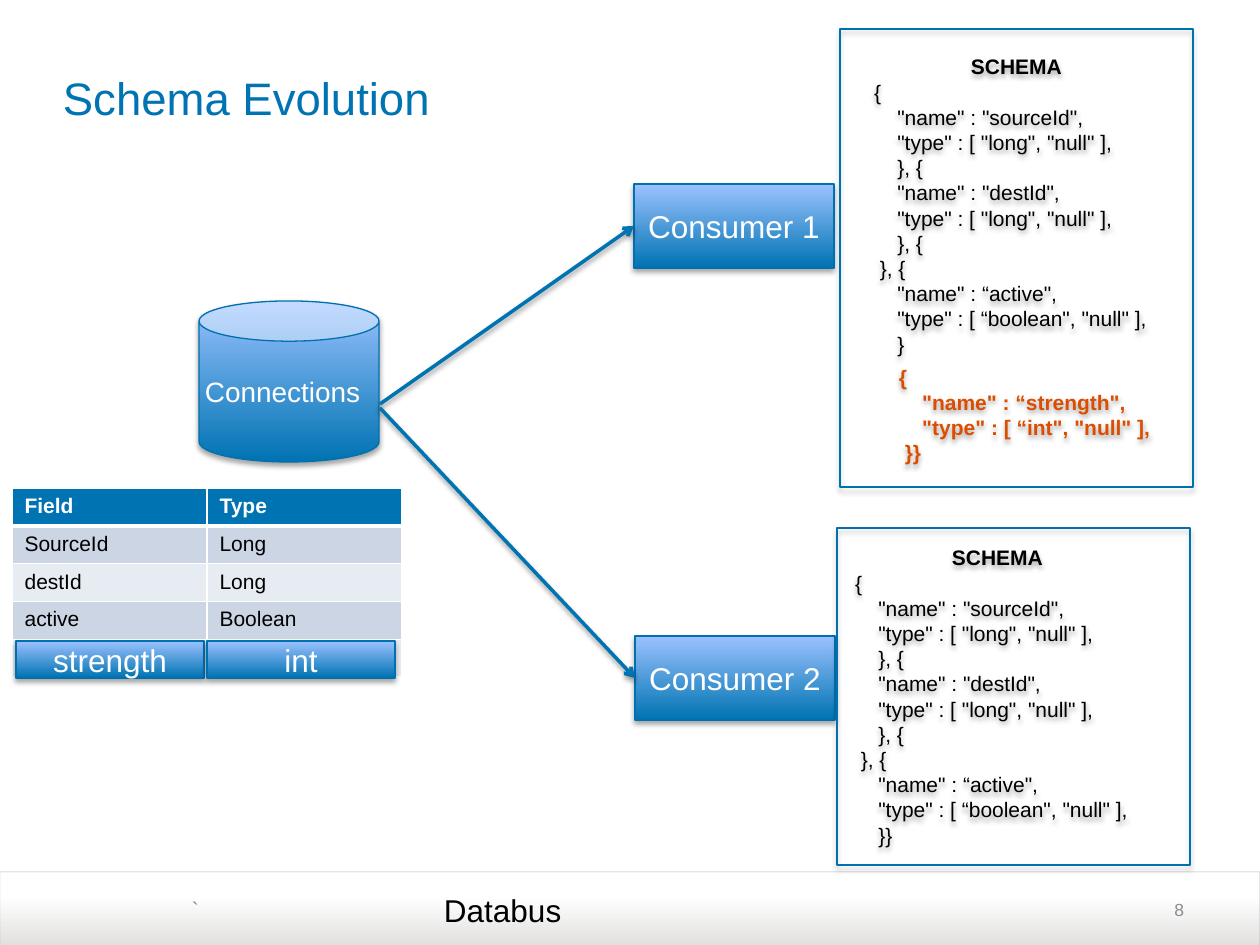
import lxml.etree
import pptx
import pptx.dml.color
import pptx.enum.shapes
import pptx.enum.text
import pptx.oxml.ns
import pptx.util

PX = 914400 / 126
COLORS = {
    "blue": "0073B2", "sky": "9BC2FF", "outline": "0070AE", "white": "FFFFFF",
    "black": "000000", "orange": "DB4E01", "band_dark": "CCD5E4",
    "band_light": "E7EBF2", "footer": "E1E0DF", "footer_line": "A6A6A6",
    "mark": "88898B", "number": "8C8C8C",
}
SHAPE = pptx.enum.shapes.MSO_SHAPE
ALIGN = pptx.enum.text.PP_ALIGN
ANCHOR = pptx.enum.text.MSO_ANCHOR
INSETS = (13, 6, 13, 6)

FIELDS = [("Field", "Type"), ("SourceId", "Long"), ("destId", "Long"),
          ("active", "Boolean"), ("", "")]
SCHEMA = [
    "{",
    '    "name" : "sourceId",',
    '    "type" : [ "long", "null" ],',
    "    }, {",
    '    "name" : "destId",',
    '    "type" : [ "long", "null" ],',
    "    }, {",
    " }, {",
    '    "name" : “active",',
    '    "type" : [ “boolean", "null" ],',
]
STRENGTH = ["{", '    "name" : “strength",', '    "type" : [ “int", "null" ],', " }}"]


def px(*lengths):
    return [pptx.util.Emu(round(length * PX)) for length in lengths]


def rgb(name):
    return pptx.dml.color.RGBColor.from_string(COLORS[name])


def child(parent, tag, **attributes):
    return lxml.etree.SubElement(parent, pptx.oxml.ns.qn(tag), **attributes)


def add_run(paragraph, text, size, color, bold=False):
    run = paragraph.add_run()
    run.text = text
    run.font.name = "Arial"
    run.font.size = pptx.util.Pt(size)
    run.font.bold = bold
    run.font.color.rgb = rgb(color)


def write_lines(frame, lines, size, color, bold=False, align=ALIGN.LEFT,
                anchor=ANCHOR.MIDDLE, insets=INSETS):
    frame.word_wrap = True
    frame.vertical_anchor = anchor
    (frame.margin_left, frame.margin_top,
     frame.margin_right, frame.margin_bottom) = px(*insets)
    for index, line in enumerate(lines):
        paragraph = frame.add_paragraph() if index else frame.paragraphs[0]
        paragraph.alignment = align
        add_run(paragraph, line, size, color, bold)


def add_text(slide, box, lines, size, color, **layout):
    text = slide.shapes.add_textbox(*px(*box))
    write_lines(text.text_frame, lines, size, color, **layout)
    return text


def drop_shadow(properties, alpha=35):
    """Put a soft downward shadow into the effect list of a shape's properties."""
    effects = properties.find(pptx.oxml.ns.qn("a:effectLst"))
    if effects is None:
        effects = child(properties, "a:effectLst")
    shadow = child(effects, "a:outerShdw", blurRad="39370", dist="22860",
                   dir="5400000", rotWithShape="0")
    black = child(shadow, "a:srgbClr", val=COLORS["black"])
    child(black, "a:alpha", val=str(alpha * 1000))


def fill_upward(shape, bottom, top, top_position=1.0):
    shape.fill.gradient()
    shape.fill.gradient_angle = 90
    stops = shape.fill.gradient_stops
    for stop, color, position in zip(stops, (bottom, top), (0, top_position)):
        stop.color.rgb = rgb(color)
        stop.position = position


def add_block(slide, box, label, size=18, preset=SHAPE.RECTANGLE, insets=INSETS):
    block = slide.shapes.add_shape(preset, *px(*box))
    fill_upward(block, "blue", "sky")
    block.line.color.rgb = rgb("outline")
    block.line.width = pptx.util.Pt(0.75)
    block.shadow.inherit = False
    drop_shadow(block._element.spPr)
    write_lines(block.text_frame, [label], size, "white", align=ALIGN.CENTER,
                insets=insets)
    return block


def add_arrow(slide, start, consumer):
    arrow = slide.shapes.add_connector(
        pptx.enum.shapes.MSO_CONNECTOR.STRAIGHT, *px(*start, *start))
    arrow.end_connect(consumer, 1)
    arrow.line.color.rgb = rgb("blue")
    arrow.line.width = pptx.util.Pt(2)
    child(arrow.line._get_or_add_ln(), "a:tailEnd", type="arrow")
    drop_shadow(arrow._element.spPr, 38)


def add_footer(slide, box):
    left, top, width, height = box
    band = slide.shapes.add_shape(SHAPE.ROUND_2_SAME_RECTANGLE, *px(*box))
    band.adjustments[0] = 0
    fill_upward(band, "footer", "white", 0.68)
    band.line.color.rgb = rgb("footer_line")
    band.line.width = pptx.util.Pt(0.25)
    line_color = band.line._get_or_add_ln().find(".//" + pptx.oxml.ns.qn("a:srgbClr"))
    child(line_color, "a:alpha", val="79000")
    band.shadow.inherit = False
    add_text(slide, (left + 192, top + 19, 391, 43), ["`"], 12, "mark",
             anchor=ANCHOR.TOP, insets=(0, 6, 13, 6))
    add_text(slide, (left + 431, top + 13, 399, 50), ["Databus"], 18, "black",
             anchor=ANCHOR.TOP)
    add_text(slide, (left + 903, top + 13, 294, 50), ["8"], 10, "number",
             align=ALIGN.RIGHT)


def style_cell(cell, fill, top_width, bottom_width):
    properties = cell._tc.get_or_add_tcPr()
    widths = {"a:lnL": 1, "a:lnR": 1, "a:lnT": top_width, "a:lnB": bottom_width}
    for side, width in widths.items():
        border = child(properties, side, w=str(width * 12700))
        child(child(border, "a:solidFill"), "a:srgbClr", val=COLORS["white"])
    cell.fill.solid()
    cell.fill.fore_color.rgb = rgb(fill)


def add_field_table(slide, box):
    left, top, width, height = box
    table = slide.shapes.add_table(len(FIELDS), 2, *px(*box)).table
    for column in table.columns:
        column.width = px(width / 2)[0]
    for r, names in enumerate(FIELDS):
        table.rows[r].height = px(height / len(FIELDS))[0]
        fill = "blue" if r == 0 else "band_dark" if r % 2 else "band_light"
        for c, name in enumerate(names):
            cell = table.cell(r, c)
            style_cell(cell, fill, 3 if r == 1 else 1, 3 if r == 0 else 1)
            paragraph = cell.text_frame.paragraphs[0]
            if name:
                add_run(paragraph, name, 12, "black" if r else "white", r == 0)
            else:
                child(paragraph._p, "a:endParaRPr", sz="1200")
    for c, label in enumerate(("strength", "int")):
        add_block(slide, (left + 4 + c * 191, top + 153, 188, 37), label)


def add_schema(slide, box, text_offset, closing, addition=()):
    left, top, width, height = box
    dx, dy = text_offset
    schema = add_text(slide, (left + dx, top + dy, 311, 362),
                      ["SCHEMA"], 12, "black", bold=True, align=ALIGN.CENTER)
    for line in SCHEMA + [closing]:
        add_run(schema.text_frame.add_paragraph(), line, 12, "black")
    texts = [schema]
    if addition:
        texts.append(add_text(slide, (left + 46, top + 329, 350, 113), addition,
                              12, "orange", bold=True))
    for text in texts:
        text.shadow.inherit = False
        drop_shadow(text._element.spPr)
    frame = slide.shapes.add_shape(SHAPE.RECTANGLE, *px(*box))
    frame.fill.background()
    frame.line.color.rgb = rgb("outline")
    frame.line.width = pptx.util.Pt(0.75)
    frame.shadow.inherit = False
    drop_shadow(frame._element.spPr)


def main():
    deck = pptx.Presentation()
    deck.slide_width, deck.slide_height = px(1260, 945)
    slide = deck.slides.add_slide(deck.slide_layouts[6])
    add_footer(slide, (0, 872, 1260, 74))
    add_text(slide, (63, 28, 1134, 139), ["Schema Evolution"], 26, "blue",
             insets=(0, 6, 0, 6))
    add_block(slide, (199, 301, 180, 161), "Connections", 16, SHAPE.CAN,
              (0, 6, 13, 6))
    add_field_table(slide, (12, 488, 390, 187))
    first = add_block(slide, (634, 184, 200, 84), "Consumer 1")
    second = add_block(slide, (635, 636, 200, 84), "Consumer 2")
    add_arrow(slide, (380, 404), first)
    add_arrow(slide, (380, 408), second)
    add_schema(slide, (840, 29, 353, 458), (21, -5), "    }", STRENGTH)
    add_schema(slide, (837, 528, 353, 337), (5, -13), "    }}")
    deck.save("out.pptx")


if __name__ == "__main__":
    main()
